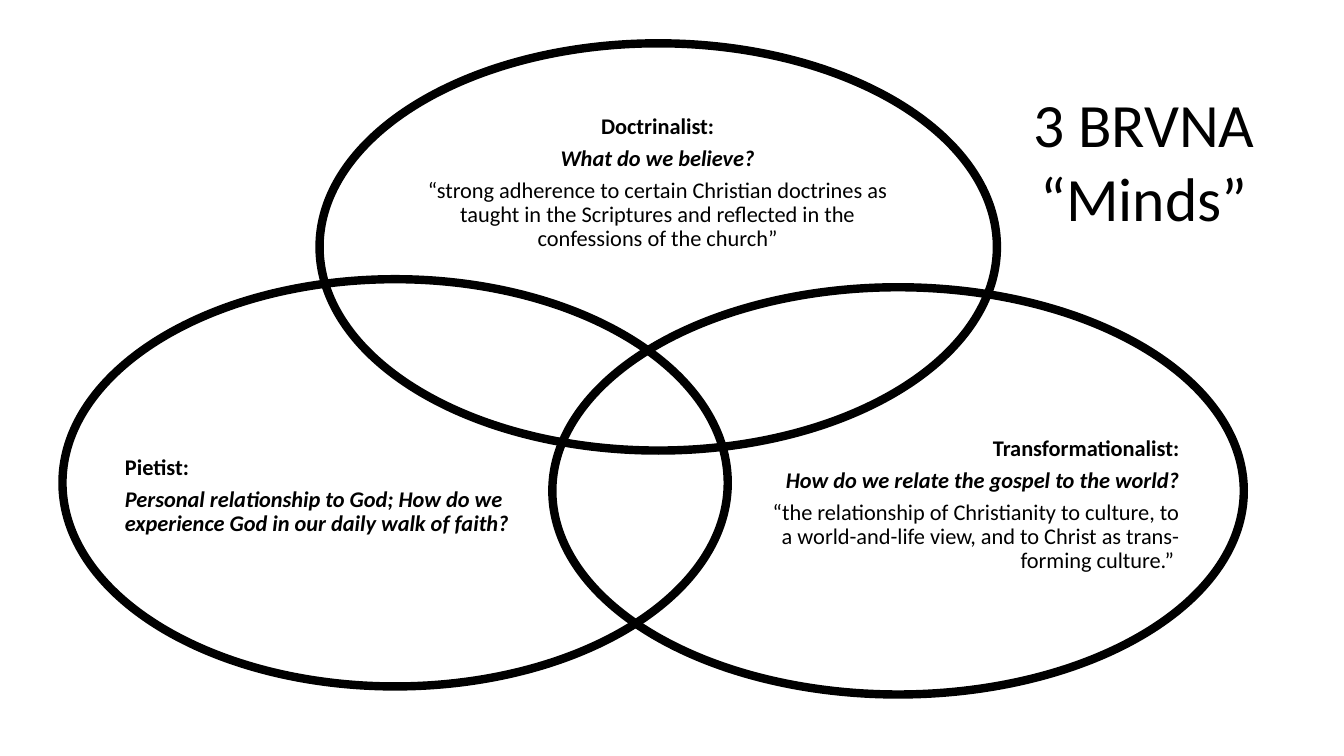
from dataclasses import dataclass

from pptx import Presentation
from pptx import util as u
from pptx.dml.color import RGBColor
from pptx.enum import shapes, text

BLACK = RGBColor(0x00, 0x00, 0x00)
FONT = "Calibri"
OVAL_HEIGHT = 290.88
OVAL_LINE = 6
BODY_SIZE = 16
TITLE_SIZE = 44


@dataclass(frozen=True)
class Box:
    left: float
    top: float
    width: float
    height: float

    def place(self) -> tuple:
        return tuple(u.Pt(v) for v in (self.left, self.top, self.width, self.height))


@dataclass(frozen=True)
class Mind:
    oval: Box
    label: Box
    align: text.PP_ALIGN
    anchor: text.MSO_ANCHOR
    lines: tuple[str, ...]  # name, question, quotation


MINDS = (
    Mind(
        Box(228.24, 30.96, 483.84, OVAL_HEIGHT),
        Box(292.32, 82.08, 354.96, 131.04),
        text.PP_ALIGN.CENTER,
        text.MSO_ANCHOR.TOP,
        (
            "Doctrinalist:",
            "What do we believe?",
            "“strong adherence to certain Christian doctrines as taught in "
            "the Scriptures and reflected in the confessions of the church”",
        ),
    ),
    Mind(
        Box(394.56, 205.2, 493.92, OVAL_HEIGHT),
        Box(545.76, 280.8, 296.64, 159.84),
        text.PP_ALIGN.RIGHT,
        text.MSO_ANCHOR.MIDDLE,
        (
            "Transformationalist:",
            "How do we relate the gospel to the world?",
            "“the relationship of Christianity to culture, to a world-and-life "
            "view, and to Christ as trans- forming culture.” ",
        ),
    ),
    Mind(
        Box(44.64, 199.44, 475.2, OVAL_HEIGHT),
        Box(89.28, 274.32, 285.12, 159.84),
        text.PP_ALIGN.LEFT,
        text.MSO_ANCHOR.MIDDLE,
        (
            "Pietist:",
            "Personal relationship to God; How do we experience God in our "
            "daily walk of faith?",
        ),
    ),
)
TITLE_BOX = Box(730.8, 57.6, 172.8, 113.76)
TITLE_LINES = ("3 BRVNA", "“Minds”")


def write_lines(tf, lines: tuple[str, ...], size: float, align: text.PP_ALIGN) -> None:
    tf.text = "\n".join(lines)
    for p in tf.paragraphs:
        p.alignment = align
        for r in p.runs:
            r.font.name = FONT
            r.font.size = u.Pt(size)
            r.font.color.rgb = BLACK


def draw_oval(s, box: Box) -> None:
    sp = s.shapes.add_shape(shapes.MSO_SHAPE.OVAL, *box.place())
    sp.shadow.inherit = False
    sp.fill.background()
    sp.line.color.rgb = BLACK
    sp.line.width = u.Pt(OVAL_LINE)


def draw_label(s, mind: Mind) -> None:
    tf = s.shapes.add_textbox(*mind.label.place()).text_frame
    tf.word_wrap = True
    tf.vertical_anchor = mind.anchor
    tf.margin_left = tf.margin_right = tf.margin_top = tf.margin_bottom = u.Pt(0)
    write_lines(tf, mind.lines, BODY_SIZE, mind.align)
    for i, p in enumerate(tf.paragraphs):
        p.line_spacing = 0.9
        p.space_after = u.Pt(0.35 * BODY_SIZE)
        for r in p.runs:
            r.font.bold = i < 2
            r.font.italic = i == 1


def draw_title(s) -> None:
    tf = s.shapes.add_textbox(*TITLE_BOX.place()).text_frame
    tf.word_wrap = False
    tf.auto_size = text.MSO_AUTO_SIZE.SHAPE_TO_FIT_TEXT
    write_lines(tf, TITLE_LINES, TITLE_SIZE, text.PP_ALIGN.CENTER)


def main() -> None:
    prs = Presentation()
    prs.slide_width, prs.slide_height = u.Pt(960), u.Pt(540)
    s = prs.slides.add_slide(prs.slide_layouts[6])

    # Three overlapping ovals with their labels
    for mind in MINDS:
        draw_oval(s, mind.oval)
        draw_label(s, mind)

    # Title at the upper right
    draw_title(s)

    prs.save("out.pptx")


if __name__ == "__main__":
    main()
